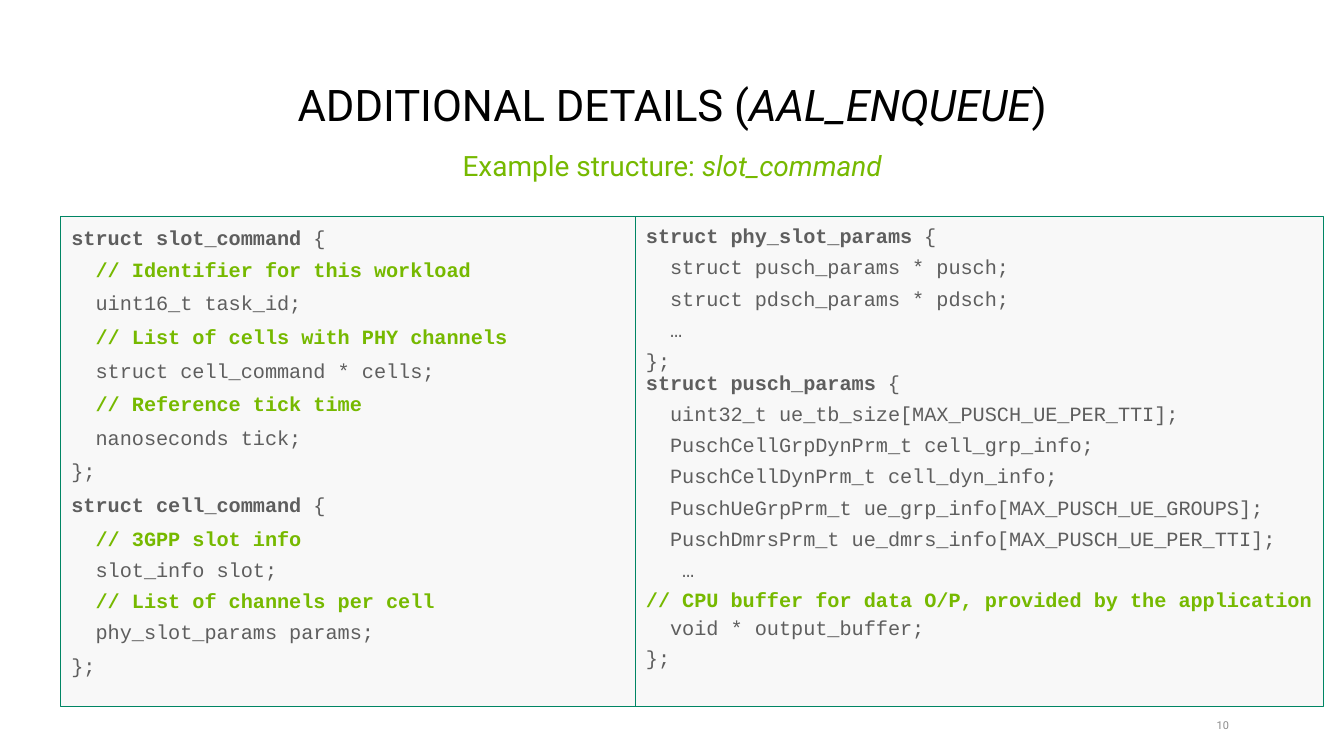
from pptx import Presentation
from pptx.dml.color import RGBColor
from pptx.enum.shapes import MSO_SHAPE
from pptx.enum.text import MSO_ANCHOR, PP_ALIGN
from pptx.util import Cm, Pt

RECTANGLE = MSO_SHAPE.RECTANGLE
TOP, MIDDLE, BOTTOM = MSO_ANCHOR.TOP, MSO_ANCHOR.MIDDLE, MSO_ANCHOR.BOTTOM
LEFT, CENTER, RIGHT = PP_ALIGN.LEFT, PP_ALIGN.CENTER, PP_ALIGN.RIGHT

GREEN, GRAY, BLACK = "76B900", "5E5E5E", "000000"
SANS, MONO = "Roboto", "Courier New"

# Each block of code: line spacing, space around each paragraph, paragraphs.
SLOT_CODE = [
    (1.0, 2, ["struct slot_command {"]),
    (1.0, 3, [
        "  // Identifier for this workload",
        "  uint16_t task_id;",
        "  // List of cells with PHY channels",
        "  struct cell_command * cells;",
        "  // Reference tick time",
        "  nanoseconds tick;",
        "};",
        "struct cell_command {",
        "  // 3GPP slot info",
    ]),
    (0.9, 3, [
        "  slot_info slot;",
        "  // List of channels per cell",
        "  phy_slot_params params;",
    ]),
    (1.0, 3, ["};"]),
]
PHY_CODE = [
    (0.9, 3, [
        "struct phy_slot_params {",
        "  struct pusch_params * pusch;",
        "  struct pdsch_params * pdsch;",
        "  …",
        "};\nstruct pusch_params {",
        "  uint32_t ue_tb_size[MAX_PUSCH_UE_PER_TTI];",
        "  PuschCellGrpDynPrm_t cell_grp_info;",
        "  PuschCellDynPrm_t cell_dyn_info;",
        "  PuschUeGrpPrm_t ue_grp_info[MAX_PUSCH_UE_GROUPS];",
        "  PuschDmrsPrm_t ue_dmrs_info[MAX_PUSCH_UE_PER_TTI];",
        "   …",
    ]),
    (0.9, 2, [
        "// CPU buffer for data O/P, provided by the application",
        "  void * output_buffer;",
    ]),
    (0.9, 3, ["};"]),
]


def color(value):
    return RGBColor.from_string(value)


class SlideBuilder:
    def __init__(self, page):
        self.page = page

    def set_frame(self, box, anchor, insets):
        """Wrap the text; insets are left, top, right, bottom in cm."""
        frame = box.text_frame
        frame.word_wrap = True
        frame.vertical_anchor = anchor
        (frame.margin_left, frame.margin_top,
         frame.margin_right, frame.margin_bottom) = map(Cm, insets)
        return frame

    def set_font(self, para, name, size, hex_color):
        para.font.name = name
        para.font.size = Pt(size)
        para.font.color.rgb = color(hex_color)

    def label(self, area, spans, size, hex_color, align=CENTER, anchor=TOP,
              insets=(0.25, 0.13, 0.25, 0.13)):
        """Add one line of text; spans are (text, italic) pairs."""
        box = self.page.shapes.add_textbox(*map(Cm, area))
        para = self.set_frame(box, anchor, insets).paragraphs[0]
        para.alignment = align
        para.line_spacing = 0.9
        self.set_font(para, SANS, size, hex_color)
        for text, italic in spans:
            span = para.add_run()
            span.text = text
            span.font.italic = italic

    def code_line(self, para, text):
        """Bold the comments and the heads of struct definitions."""
        if text.startswith("struct") and text.endswith("{"):
            spans = [(text[:-1], True), ("{", False)]
        else:
            spans = [(text, "//" in text)]
        for part, bold in spans:
            span = para.add_run()
            span.text = part
            span.font.bold = bold

    def code_panel(self, area, blocks, top_inset):
        box = self.page.shapes.add_shape(RECTANGLE, *map(Cm, area))
        box.shadow.inherit = False
        box.fill.solid()
        box.fill.fore_color.rgb = color("F8F8F8")
        box.line.color.rgb = color("008564")
        box.line.width = Pt(0.25)
        frame = self.set_frame(box, TOP, (0.25, top_inset, 0.1, 0.13))
        lines = [(spacing, gap, text)
                 for spacing, gap, texts in blocks for text in texts]
        for index, (spacing, gap, text) in enumerate(lines):
            para = frame.add_paragraph() if index else frame.paragraphs[0]
            para.alignment = LEFT
            para.line_spacing = spacing
            para.space_before = Pt(gap if index else 0)
            para.space_after = Pt(gap)
            self.set_font(para, MONO, 13, GREEN if "//" in text else GRAY)
            for row, part in enumerate(text.split("\n")):
                if row:
                    para.add_line_break()
                self.code_line(para, part)


def main():
    deck = Presentation()
    deck.slide_width, deck.slide_height = Cm(30.48), Cm(17.15)
    builder = SlideBuilder(deck.slides.add_slide(deck.slide_layouts[6]))

    builder.label((27.08, 16.28, 0.79, 0.38), [("10", False)], 7, "8C8C8C",
                  RIGHT, MIDDLE, (0, 0, 0, 0))
    builder.code_panel((14.4, 4.9, 15.62, 11.13), PHY_CODE, 0.23)
    builder.label((1.39, 1.45, 27.71, 1.65),
                  [("ADDITIONAL DETAILS (", False), ("AAL_ENQUEUE", True),
                   (")", False)], 28, BLACK, anchor=BOTTOM)
    builder.code_panel((1.37, 4.9, 13.03, 11.13), SLOT_CODE, 0.2)
    builder.label((1.39, 3.02, 27.71, 1.45),
                  [("Example structure: ", False), ("slot_command", True)],
                  18, GREEN, insets=(0.25, 0.44, 0.25, 0.13))
    deck.save("out.pptx")


if __name__ == "__main__":
    main()
